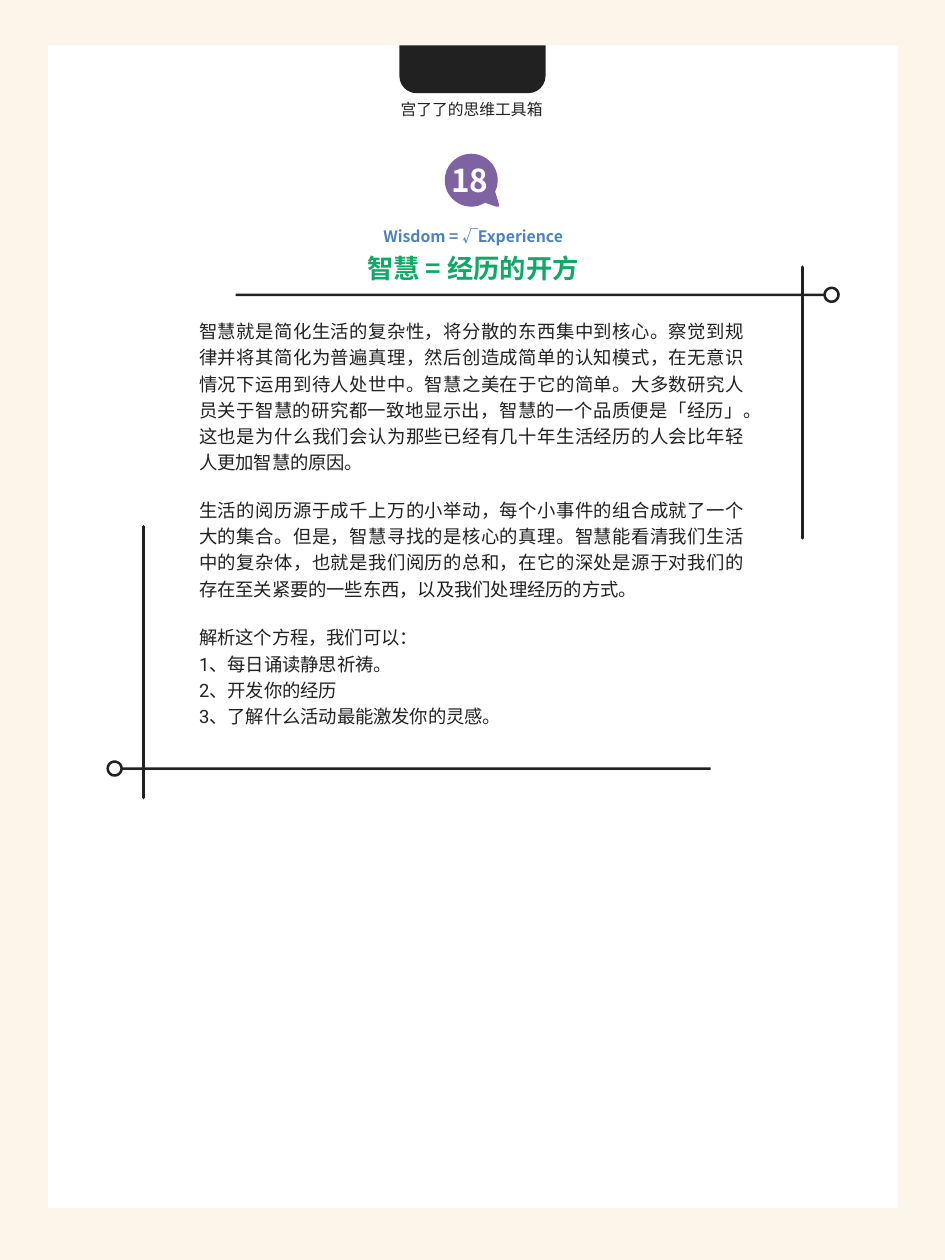
import math

from lxml import etree
from pptx import Presentation
from pptx import util as u
from pptx.dml import color as dml
from pptx.enum import lang, shapes, text
from pptx.oxml import ns

PX = 9144
COLORS = {
    "border": "FBF5EA",
    "page": "FFFFFF",
    "ink": "212121",
    "bubble": "7F62A1",
    "formula": "4E81BB",
    "heading": "11A766",
}
LABEL = {"name": "Noto Sans CJK TC", "size": u.Pt(9), "bold": False}
NUMBER = {"name": "Noto Sans CJK SC", "size": u.Pt(18), "bold": True}
FORMULA = {"name": "Noto Sans CJK SC", "size": u.Pt(9), "bold": True}
HEADING = {"name": "Noto Sans CJK SC", "size": u.Pt(15), "bold": True}
BODY = {"name": "Roboto", "size": u.Pt(10.5), "bold": False}

CENTERED = {"alignment": text.PP_ALIGN.CENTER, "line_spacing": 1.0}
LEFT = {"alignment": text.PP_ALIGN.LEFT, "line_spacing": 1.0}
JUSTIFIED = {"alignment": text.PP_ALIGN.JUSTIFY, "line_spacing": 1.19}

ESSAY = [
    ("智慧就是简化生活的复杂性，将分散的东西集中到核心。察觉到规律并将其简化为普遍真理，"
     "然后创造成简单的认知模式，在无意识情况下运用到待人处世中。智慧之美在于它的简单。"
     "大多数研究人员关于智慧的研究都一致地显示出，智慧的一个品质便是「经历」。"
     "这也是为什么我们会认为那些已经有几十年生活经历的人会比年轻人更加智慧的原因。", JUSTIFIED, 0),
    ("生活的阅历源于成千上万的小举动，每个小事件的组合成就了一个大的集合。"
     "但是，智慧寻找的是核心的真理。智慧能看清我们生活中的复杂体，也就是我们阅历的总和，"
     "在它的深处是源于对我们的存在至关紧要的一些东西，以及我们处理经历的方式。", JUSTIFIED, 12.4),
    ("解析这个方程，我们可以：", LEFT, 15.3),
    ("1、每日诵读静思祈祷。", LEFT, 2.4),
    ("2、开发你的经历", LEFT, 2.4),
    ("3、了解什么活动最能激发你的灵感。", LEFT, 2.4),
]


def rgb(name):
    return dml.RGBColor.from_string(COLORS[name])


def px(*values):
    return [u.Emu(value * PX) for value in values]


def set_attributes(target, values):
    for name, value in values.items():
        setattr(target, name, value)


def fill_shape(shape, color):
    shape.shadow.inherit = False
    shape.fill.solid()
    shape.fill.fore_color.rgb = rgb(color)
    shape.line.fill.background()
    return shape


def add_solid(slide, kind, box, color):
    return fill_shape(slide.shapes.add_shape(kind, *px(*box)), color)


def add_outline(slide, contours, color):
    tenths = [[(round(x * 10), round(y * 10)) for x, y in contour] for contour in contours]
    builder = slide.shapes.build_freeform(*tenths[0][0], scale=PX / 10)
    builder.add_line_segments(tenths[0][1:], close=True)
    for contour in tenths[1:]:
        builder.move_to(*contour[0])
        builder.add_line_segments(contour[1:], close=True)
    return fill_shape(builder.convert_to_shape(), color)


def add_line(slide, ends, width):
    connector = slide.shapes.add_connector(shapes.MSO_CONNECTOR.STRAIGHT, *px(*ends))
    connector.line.color.rgb = rgb("ink")
    connector.line.width = u.Pt(width)
    connector.line._get_or_add_ln().set("cap", "rnd")
    etree.SubElement(connector._element.spPr, ns.qn("a:effectLst"))


def arc(x, y, radius, start, stop):
    angles = [math.radians(start + (stop - start) * step / 36) for step in range(37)]
    return [(x + radius * math.cos(angle), y + radius * math.sin(angle)) for angle in angles]


def add_ringed_bar(slide, tip, x, y):
    toward_tip = 0 if tip > x else 180
    outer = arc(x, y, 6.5, toward_tip + 9, toward_tip + 351)
    bar = [(tip, outer[-1][1]), (tip, outer[0][1])]
    add_outline(slide, [outer + bar, arc(x, y, 4.5, 0, 360)], "ink")


def add_corner(slide, upright, tip, ring):
    add_line(slide, upright, 2)
    add_ringed_bar(slide, tip, *ring)


def place(shape, box, top_inset, wrap=True):
    set_attributes(shape, dict(zip(("left", "top", "width", "height"), px(*box))))
    frame = shape.text_frame
    set_attributes(frame, {
        "margin_left": 0, "margin_right": 0, "margin_bottom": 0,
        "margin_top": px(top_inset)[0], "word_wrap": wrap,
        "auto_size": text.MSO_AUTO_SIZE.NONE,
        "vertical_anchor": text.MSO_ANCHOR.TOP,
    })
    return frame


def write(frame, index, content, font, color, layout, before=0):
    paragraph = frame.paragraphs[0] if index == 0 else frame.add_paragraph()
    properties = paragraph._p.get_or_add_pPr()
    properties.set("marL", "0")
    properties.set("indent", "0")
    etree.SubElement(properties, ns.qn("a:buNone"))
    set_attributes(paragraph, layout)
    set_attributes(paragraph, {"space_before": u.Pt(before), "space_after": u.Pt(0)})
    run = paragraph.add_run()
    run.text = content
    set_attributes(run.font, font)
    run.font.language_id = lang.MSO_LANGUAGE_ID.SIMPLIFIED_CHINESE
    run.font.color.rgb = rgb(color)
    east_asian = etree.SubElement(run.font._element, ns.qn("a:ea"))
    east_asian.set("typeface", font["name"])


def add_label(slide, content, box, font, color):
    shape = slide.shapes.add_textbox(*px(*box))
    write(place(shape, box, 1, wrap=False), 0, content, font, color, LEFT)


def add_number_bubble(slide):
    add_solid(slide, shapes.MSO_SHAPE.OVAL, (353, 122, 42, 42), "bubble")
    add_outline(slide, [[(385, 161), (394, 164), (396, 164), (396, 162), (393, 152)]], "bubble")
    add_label(slide, "18", (358, 127, 32, 31), NUMBER, "page")


def main():
    presentation = Presentation()
    presentation.slide_width, presentation.slide_height = px(750, 1000)
    slide = presentation.slides.add_slide(presentation.slide_layouts[1])
    slide.background.fill.solid()
    slide.background.fill.fore_color.rgb = rgb("border")

    add_solid(slide, shapes.MSO_SHAPE.RECTANGLE, (38, 36, 675, 923), "page")
    tab = add_solid(slide, shapes.MSO_SHAPE.ROUND_2_SAME_RECTANGLE, (317, 36, 116, 38), "ink")
    tab.adjustments[0], tab.adjustments[1] = 0, 0.36
    add_label(slide, "宫了了的思维工具箱", (318, 78, 114, 16), LABEL, "ink")
    add_number_bubble(slide)

    add_corner(slide, (637, 212, 637, 427), 187, (660, 234))
    add_corner(slide, (114, 418, 114, 633), 564, (91, 610))

    title, body = slide.placeholders
    for shape in (title, body):
        slide.shapes._spTree.append(shape._element)
    frame = place(title, (158, 176, 435, 52), 4)
    write(frame, 0, "Wisdom = √Experience", FORMULA, "formula", CENTERED)
    write(frame, 1, "智慧 = 经历的开方", HEADING, "heading", CENTERED, 3.7)
    frame = place(body, (158, 251, 433, 330), 0)
    for index, (content, layout, before) in enumerate(ESSAY):
        write(frame, index, content, BODY, "ink", layout, before)

    presentation.save("out.pptx")


if __name__ == "__main__":
    main()
